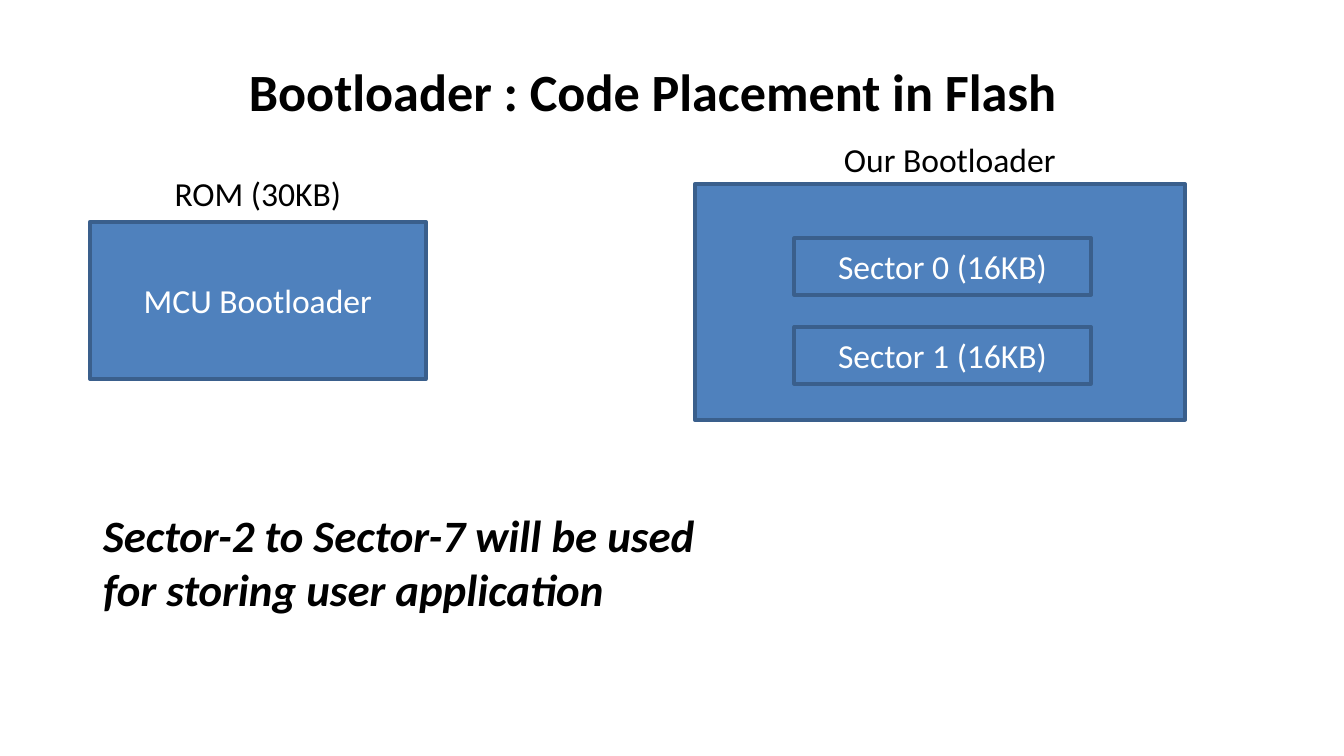
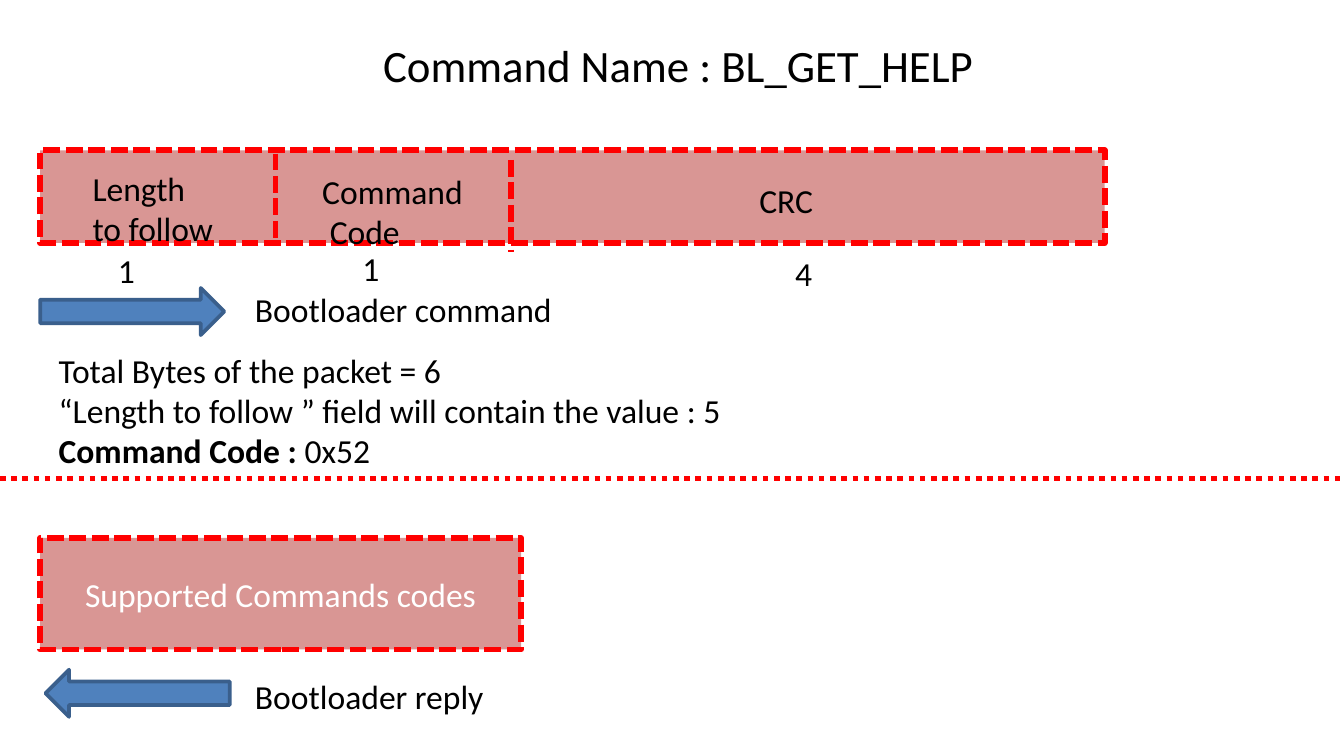
from dataclasses import dataclass

from lxml import etree
from pptx import Presentation, util as u
from pptx.dml.color import RGBColor
from pptx.enum import dml, shapes, text
from pptx.oxml.ns import qn


@dataclass(frozen=True)
class Theme:
    font: str = "Calibri"
    ink: str = "000000"
    light: str = "FFFFFF"
    block: str = "4F81BD"
    block_edge: str = "3A5F8C"
    packet: str = "D99694"
    alert: str = "FF0000"
    body: int = 18
    heading: int = 24
    headline: int = 28
    thin: int = 2
    thick: int = 3


DASH = dml.MSO_LINE.SQUARE_DOT
DOT = dml.MSO_LINE.ROUND_DOT


def apply(target, **values):
    for name, value in values.items():
        setattr(target, name, value)


def lengths(values):
    return [u.Cm(value) for value in values]


class Deck:
    def __init__(self, theme):
        self.theme = theme
        self.presentation = Presentation()
        apply(self.presentation, slide_width=u.Cm(25.4), slide_height=u.Cm(14.28))

    def new_slide(self):
        self.slide = self.presentation.slides.add_slide(self.presentation.slide_layouts[5])
        self.shapes = self.slide.shapes

    def start_group(self):
        self.shapes = self.slide.shapes.add_group_shape().shapes

    def end_group(self):
        self.shapes = self.slide.shapes

    def set_text(self, frame, lines, align=text.PP_ALIGN.LEFT, **font):
        values = dict(name=self.theme.font, size=u.Pt(self.theme.body), bold=False) | font
        color = values.pop("color", self.theme.ink)
        for index, line in enumerate(lines):
            paragraph = frame.add_paragraph() if index else frame.paragraphs[0]
            paragraph.alignment = align
            for part in [line] if isinstance(line, str) else line:
                content, extra = (part, {}) if isinstance(part, str) else part
                run = paragraph.add_run()
                run.text = content
                apply(run.font, **(values | extra))
                run.font.color.rgb = RGBColor.from_string(color)

    def fit(self, frame, wrap=False):
        apply(frame, word_wrap=wrap, auto_size=text.MSO_AUTO_SIZE.SHAPE_TO_FIT_TEXT,
              vertical_anchor=text.MSO_ANCHOR.TOP)

    def title(self, content, box, size, align=text.PP_ALIGN.LEFT, bold=False):
        shape = self.slide.shapes.title
        apply(shape, **dict(zip(("left", "top", "width", "height"), lengths(box))))
        self.fit(shape.text_frame)
        self.set_text(shape.text_frame, [content], align, size=u.Pt(size), bold=bold)

    def label(self, lines, box, wrap=False, **font):
        shape = self.shapes.add_textbox(*lengths(box))
        self.fit(shape.text_frame, wrap)
        self.set_text(shape.text_frame, lines, **font)

    def stroke(self, line, color, width, dash=None):
        line.color.rgb = RGBColor.from_string(color)
        apply(line, width=u.Pt(width), dash_style=dash)

    def block(self, box, content=None, kind=shapes.MSO_SHAPE.RECTANGLE, rotation=0, packet=False):
        theme = self.theme
        shape = self.shapes.add_shape(kind, *lengths(box))
        shape.rotation = rotation
        shape.shadow.inherit = False
        shape.fill.solid()
        shape.fill.fore_color.rgb = RGBColor.from_string(theme.packet if packet else theme.block)
        if packet:
            self.stroke(shape.line, theme.alert, theme.thick, DASH)
        else:
            self.stroke(shape.line, theme.block_edge, theme.thin)
        if content:
            apply(shape.text_frame, word_wrap=True, vertical_anchor=text.MSO_ANCHOR.MIDDLE)
            self.set_text(shape.text_frame, [content], text.PP_ALIGN.CENTER, color=theme.light)

    def arrow(self, box, rotation=0):
        self.block(box, kind=shapes.MSO_SHAPE.RIGHT_ARROW, rotation=rotation)

    def line(self, ends, dash):
        connector = self.shapes.add_connector(shapes.MSO_CONNECTOR.STRAIGHT, *lengths(ends))
        self.stroke(connector.line, self.theme.alert, self.theme.thick, dash)
        etree.SubElement(connector._element.spPr, qn("a:effectLst"))


def code_placement(deck):
    theme = deck.theme
    deck.new_slide()
    deck.title("Bootloader : Code Placement in Flash", (4.45, 0.99, 15.95, 1.45),
               theme.headline, bold=True)
    deck.block((1.7, 4.19, 6.35, 2.97), "MCU Bootloader")
    deck.label(["ROM (30KB)"], (3.05, 3.15, 3.68, 1.02))
    deck.start_group()
    deck.block((13.13, 3.48, 9.27, 4.45))
    for sector in range(2):
        deck.block((15.01, 4.5 + 1.68 * sector, 5.61, 1.07), f"Sector {sector} (16KB)")
    deck.end_group()
    deck.label(["Our Bootloader"], (15.7, 2.49, 4.55, 1.02))
    deck.label(["Sector-2 to Sector-7 will be used for storing user application"],
               (1.7, 9.47, 12.7, 2.31), wrap=True,
               size=u.Pt(theme.heading), bold=True, italic=True)


def get_help_command(deck):
    deck.new_slide()
    deck.title("Command Name : BL_GET_HELP ", (6.93, 0.58, 11.96, 1.27),
               deck.theme.heading, text.PP_ALIGN.CENTER)
    deck.start_group()
    packet_left, field_width = 0.76, 4.45
    deck.block((packet_left, 2.84, 20.12, 1.75), packet=True)
    for field, top in enumerate((2.9, 3.02), start=1):
        left = packet_left + field_width * field
        deck.line((left, top, left, top + 1.75), DASH)
    fields = [
        (["Length", "to follow"], (1.5, 3.05, 2.82, 1.47), "1", (1.98, 4.6)),
        (["Command", " Code"], (5.84, 3.1, 3.2, 1.47), "1", (6.6, 4.55)),
        (["CRC"], (14.1, 3.28, 1.55, 0.84), "4", (14.78, 4.65)),
    ]
    for name, box, size, corner in fields:
        deck.label(name, box)
        deck.label([size], (*corner, 0.84, 0.84))
    deck.end_group()
    deck.label(["Total Bytes of the packet = 6",
                "“Length to follow ” field will contain the value : 5",
                [("Command Code : ", {"bold": True}), "0x52"]],
               (0.86, 6.48, 13.34, 2.57))
    deck.block((packet_left, 10.16, 9.09, 2.11), "Supported Commands codes", packet=True)
    deck.arrow((packet_left, 5.44, 3.48, 0.89))
    deck.arrow((0.86, 12.65, 3.48, 0.89), rotation=180)
    deck.label(["Bootloader command"], (4.57, 5.33, 6.2, 1.02))
    deck.label(["Bootloader reply"], (4.57, 12.65, 4.88, 1.02))
    deck.line((0, 9.04, 25.4, 9.04), DOT)


def main():
    deck = Deck(Theme())
    code_placement(deck)
    get_help_command(deck)
    deck.presentation.save("out.pptx")


if __name__ == "__main__":
    main()
